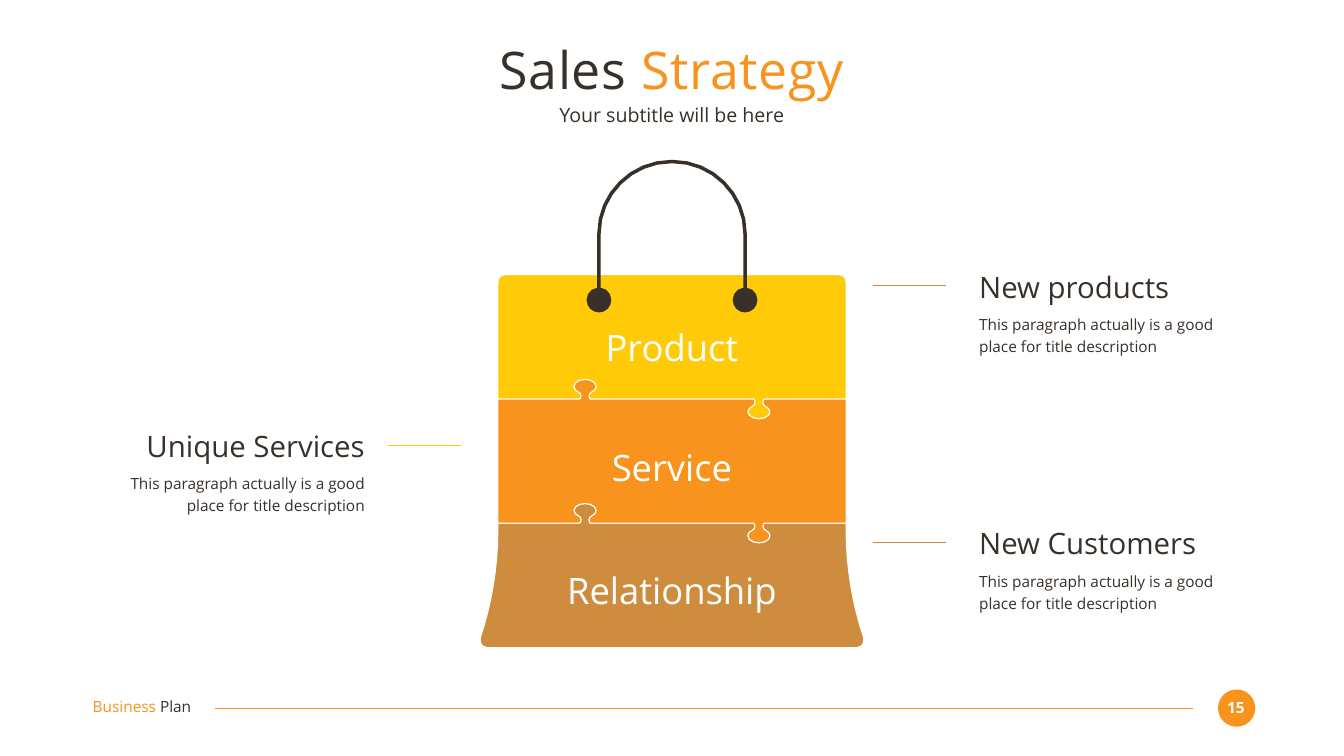
from dataclasses import dataclass
import math

import pptx
import pptx.dml.color
import pptx.enum.shapes
import pptx.enum.text
import pptx.oxml.ns
import pptx.util
from lxml import etree

Inches = pptx.util.Inches
Point = tuple[float, float]
ALIGN = pptx.enum.text.PP_ALIGN
ANCHOR = pptx.enum.text.MSO_ANCHOR

COLORS = {
    "dark": "39302A",
    "orange": "F8931D",
    "yellow": "FFCA08",
    "brown": "CE8D3E",
    "white": "FFFFFF",
}
FONT = "Open Sans"
DESCRIPTION = "This paragraph actually is a good place for title description"
CENTER = 13.335
BAG_LEFT, BAG_RIGHT = 9.88, 16.79
UPPER_SEAM, LOWER_SEAM = 7.92, 10.38
KNOB_OFFSET = 1.725


@dataclass
class Callout:
    title: str
    top: float
    left: float
    line_left: float
    color: str
    align: ALIGN


@dataclass
class BagPiece:
    label: str
    label_top: float
    color: str
    outline: list[Point]


def rgb(color: str) -> pptx.dml.color.RGBColor:
    return pptx.dml.color.RGBColor.from_string(COLORS[color])


def trace(start: Point, *steps: tuple[float, ...]) -> list[Point]:
    points = [start]
    for step in steps:
        if len(step) == 2:
            points.append(step)
            continue
        x0, y0 = points[-1]
        x1, y1, x2, y2, x3, y3 = step
        count = min(8, 2 + math.floor(6 * math.hypot(x3 - x0, y3 - y0)))
        for i in range(1, count + 1):
            t = i / count
            a, b, c, d = (1 - t) ** 3, 3 * t * (1 - t) ** 2, 3 * t * t * (1 - t), t ** 3
            points.append((a * x0 + b * x1 + c * x2 + d * x3,
                           a * y0 + b * y1 + c * y2 + d * y3))
    return points


def symmetric(half: list[Point], axis: float = CENTER) -> list[Point]:
    return half + [(2 * axis - x, y) for x, y in reversed(half)]


def knob(x: float, y: float, direction: int) -> list[Point]:
    half = trace(
        (-0.11, 0),
        (-0.09, 0, -0.08, 0.03, -0.08, 0.07),
        (-0.08, 0.10, -0.10, 0.13, -0.13, 0.14),
        (-0.18, 0.16, -0.22, 0.21, -0.22, 0.25),
        (-0.22, 0.33, -0.12, 0.39, 0, 0.39),
    )
    return [(x + dx, y + direction * dy) for dx, dy in symmetric(half, 0)]


def seam(y: float) -> list[Point]:
    return [(BAG_LEFT, y), *knob(CENTER - KNOB_OFFSET, y, -1),
            *knob(CENTER + KNOB_OFFSET, y, 1), (BAG_RIGHT, y)]


def add_outline(s, points: list[Point], color: str, edge: str | None = None) -> None:
    emu = [(Inches(x), Inches(y)) for x, y in points]
    builder = s.shapes.build_freeform(*emu[0])
    builder.add_line_segments(emu[1:], close=True)
    sp = builder.convert_to_shape()
    sp.shadow.inherit = False
    sp.fill.solid()
    sp.fill.fore_color.rgb = rgb(color)
    if edge:
        sp.line.color.rgb = rgb(edge)
        sp.line.width = pptx.util.Pt(1.5)
    else:
        sp.line.fill.background()


def add_line(s, x1: float, x2: float, y: float, color: str) -> None:
    sp = s.shapes.add_connector(pptx.enum.shapes.MSO_CONNECTOR.STRAIGHT,
                                Inches(x1), Inches(y), Inches(x2), Inches(y))
    sp.line.color.rgb = rgb(color)
    sp.line.width = pptx.util.Pt(1.5)
    etree.SubElement(sp._element.spPr, pptx.oxml.ns.qn("a:effectLst"))


def add_text(s, text: str, *, left: float, top: float, width: float, height: float,
             size: float, color: str = "dark", align: ALIGN = ALIGN.LEFT,
             anchor: ANCHOR = ANCHOR.TOP, bold: bool = False, line_spacing: float = 1,
             tracking: float = 0, tail: str = "", tail_color: str = "dark") -> None:
    sp = s.shapes.add_textbox(Inches(left), Inches(top), Inches(width), Inches(height))
    tf = sp.text_frame
    tf.word_wrap = True
    tf.vertical_anchor = anchor
    tf.margin_left = tf.margin_right = tf.margin_top = tf.margin_bottom = 0
    p = tf.paragraphs[0]
    p.alignment = align
    p.line_spacing = line_spacing
    for words, run_color in ((text, color), (tail, tail_color)):
        if not words:
            continue
        r = p.add_run()
        r.text = words
        r.font.name = FONT
        r.font.size = pptx.util.Pt(size)
        r.font.bold = bold
        r.font.color.rgb = rgb(run_color)
        if tracking:
            r._r.get_or_add_rPr().set("spc", str(int(tracking * 100)))


def add_callout(s, c: Callout) -> None:
    add_line(s, c.line_left + 1.44, c.line_left, c.top + 0.34, c.color)
    add_text(s, c.title, left=c.left, top=c.top, width=5.41, height=0.71,
             size=42, align=c.align)
    add_text(s, DESCRIPTION, left=c.left, top=c.top + 0.85, width=5.41, height=0.89,
             size=22, align=c.align, line_spacing=1.2)


def add_footer(s) -> None:
    sp = s.shapes.add_shape(pptx.enum.shapes.MSO_SHAPE.OVAL, Inches(24.17),
                            Inches(13.68), Inches(0.74), Inches(0.74))
    sp.shadow.inherit = False
    sp.fill.solid()
    sp.fill.fore_color.rgb = rgb("orange")
    sp.line.fill.background()
    add_text(s, "15", left=24.23, top=13.85, width=0.59, height=0.37, size=22,
             color="white", align=ALIGN.CENTER, bold=True)
    add_line(s, 23.67, 4.27, 14.05, "orange")
    add_text(s, "Business ", left=1.84, top=13.84, width=2.59, height=0.37, size=22,
             color="orange", tail="Plan")


def main() -> None:
    prs = pptx.Presentation()
    prs.slide_width, prs.slide_height = Inches(26.67), Inches(15)
    s = prs.slides.add_slide(prs.slide_layouts[6])

    add_footer(s)
    add_text(s, "Sales ", left=1.83, top=0.73, width=23, height=1.27, size=74,
             align=ALIGN.CENTER, anchor=ANCHOR.MIDDLE, tracking=1,
             tail="Strategy", tail_color="orange")
    add_text(s, "Your subtitle will be here", left=1.83, top=2.03, width=23, height=0.49,
             size=28, align=ALIGN.CENTER, anchor=ANCHOR.MIDDLE)

    corner = trace((BAG_RIGHT, 5.59), (BAG_RIGHT, 5.51, 16.73, 5.45, 16.65, 5.45))
    flare = trace((BAG_RIGHT, 10.51), (BAG_RIGHT, 11.24, 16.91, 11.97, 17.14, 12.66),
                  (17.17, 12.75, 17.1, 12.85, 17, 12.85))
    handle = trace(
        (13.34, 3.17), (14.16, 3.17, 14.82, 3.83, 14.82, 4.64), (14.82, 5.71),
        (14.94, 5.72, 15.03, 5.83, 15.03, 5.95), (15.03, 6.09, 14.92, 6.2, 14.78, 6.2),
        (14.65, 6.2, 14.54, 6.09, 14.54, 5.95), (14.54, 5.83, 14.63, 5.72, 14.75, 5.71),
        (14.75, 4.64), (14.75, 3.87, 14.12, 3.24, 13.34, 3.24),
    )
    pieces = [
        BagPiece("Relationship", 11.28, "brown", seam(LOWER_SEAM) + symmetric(flare)),
        BagPiece("Product", 6.45, "yellow", seam(UPPER_SEAM) + symmetric(corner)),
        BagPiece("Service", 8.83, "orange", seam(UPPER_SEAM) + seam(LOWER_SEAM)[::-1]),
    ]
    for piece in pieces:
        add_outline(s, piece.outline, piece.color, edge="white")
    add_outline(s, symmetric(handle), "dark")
    for piece in pieces:
        add_text(s, piece.label, left=10.7, top=piece.label_top, width=5.27, height=0.88,
                 size=52, color="white", align=ALIGN.CENTER)

    for callout in (
        Callout("Unique Services", 8.49, 1.83, 7.7, "yellow", ALIGN.RIGHT),
        Callout("New Customers", 10.42, 19.43, 17.33, "brown", ALIGN.LEFT),
        Callout("New products", 5.33, 19.43, 17.33, "brown", ALIGN.LEFT),
    ):
        add_callout(s, callout)
    prs.save("out.pptx")


if __name__ == "__main__":
    main()
